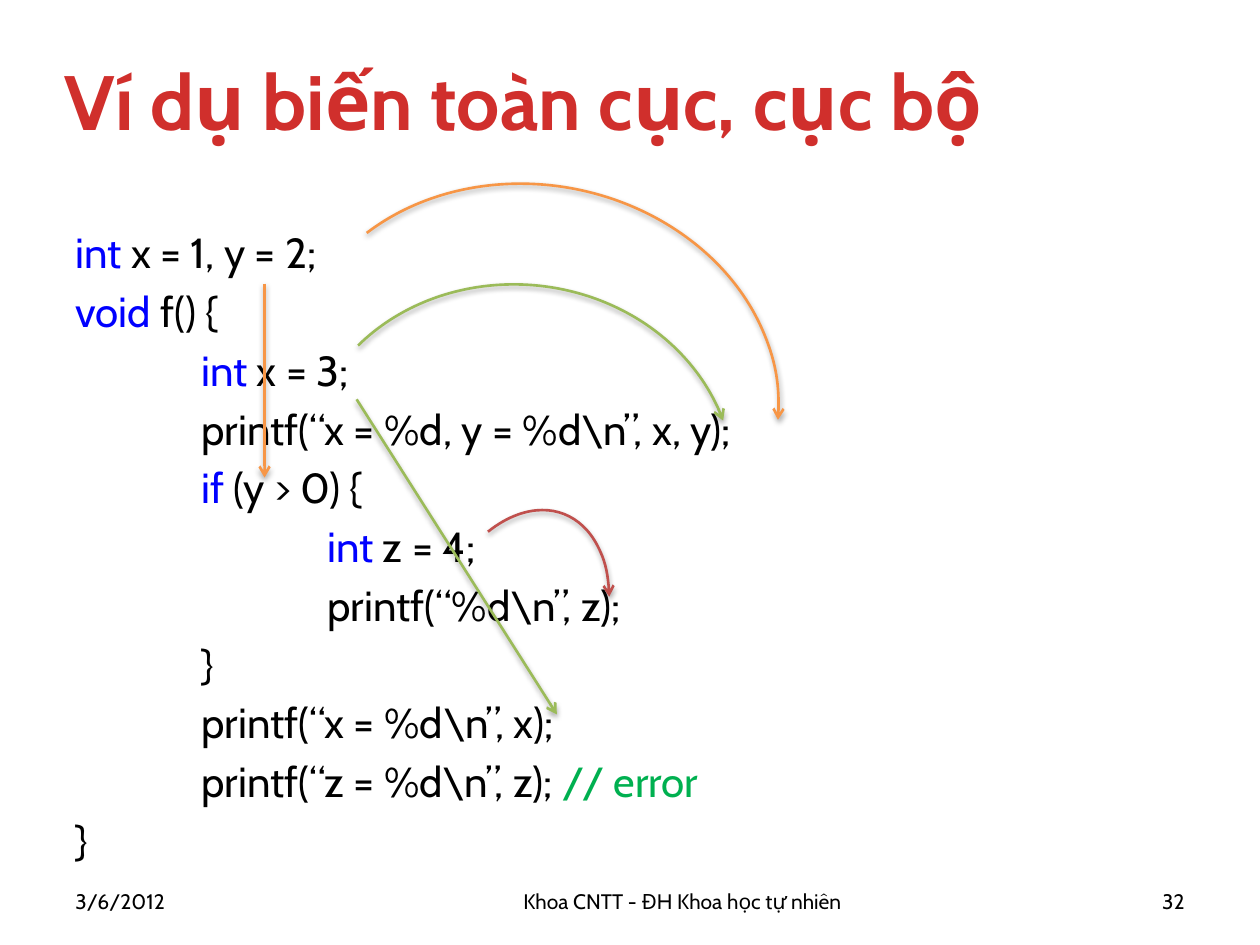
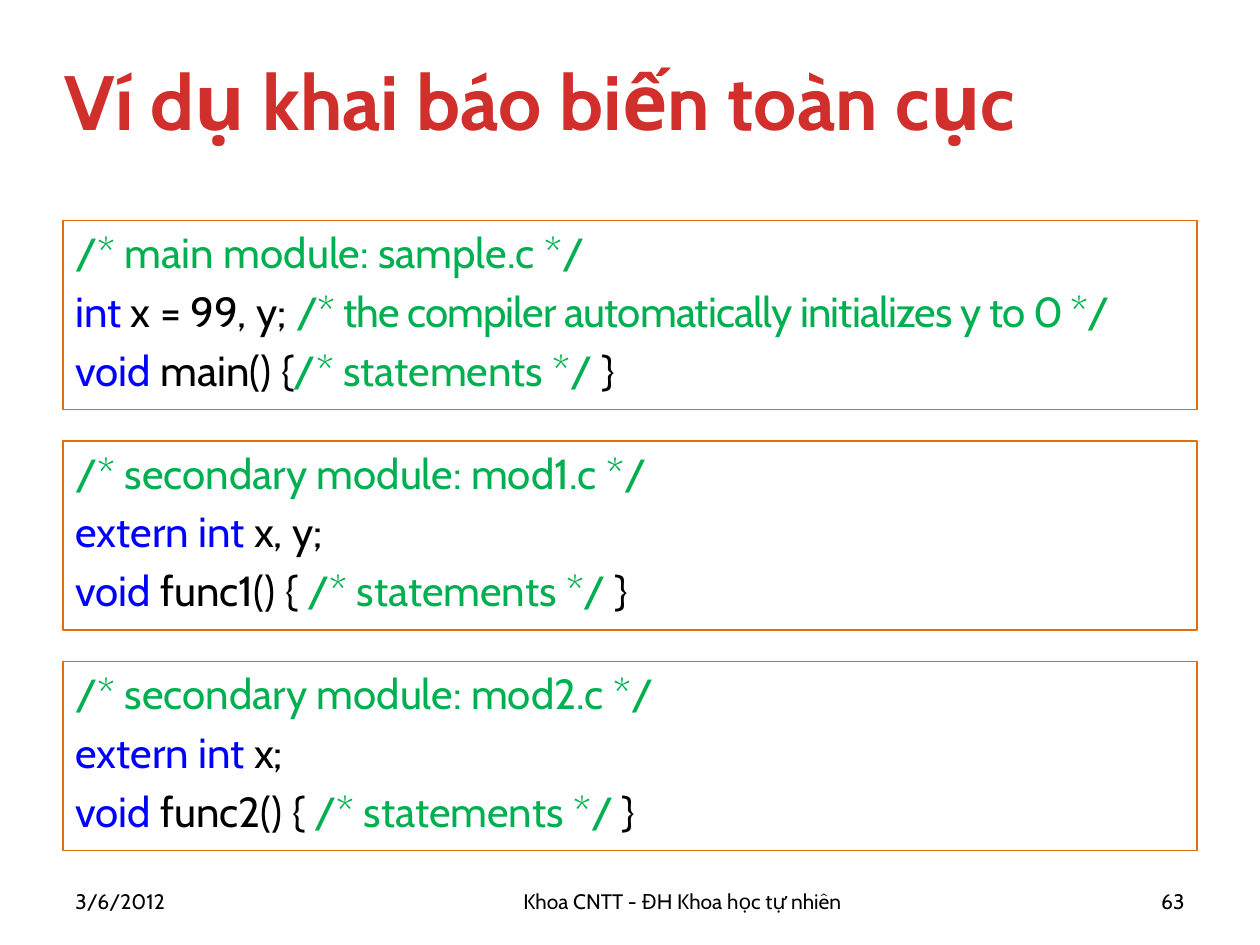
from lxml import etree
from pptx import Presentation
from pptx import util as u
from pptx.dml.color import RGBColor
from pptx.enum import shapes, text
from pptx.oxml.ns import qn

FONT = "Cabin"
RED, BLACK, BLUE, GREEN = "D02F2C", "000000", "0000FF", "00B050"
PANEL_EDGE = "E46C0A"
GLOBAL_SCOPE, FUNCTION_SCOPE, BLOCK_SCOPE = "F79646", "9BBB59", "C0504D"
MARGIN, CONTENT_TOP, CONTENT_WIDTH = 36, 126, 648
PANEL_HEIGHT, PANEL_GAP = 108, 18
TAB = 72
LEFT, CENTER, RIGHT = text.PP_ALIGN.LEFT, text.PP_ALIGN.CENTER, text.PP_ALIGN.RIGHT

SCOPE_CODE = [
    (0, [("int ", BLUE), ("x = 1, y = 2;", BLACK)]),
    (0, [("void", BLUE), (" f() {", BLACK)]),
    (1, [("int", BLUE), (" x = 3;", BLACK)]),
    (1, [("printf(“x = %d, y = %d\\n”, x, y);", BLACK)]),
    (1, [("if", BLUE), (" (y > 0) {", BLACK)]),
    (2, [("int", BLUE), (" z = 4;", BLACK)]),
    (2, [("printf(“%d\\n”, z);", BLACK)]),
    (1, [("}", BLACK)]),
    (1, [("printf(“x = %d\\n”, x);", BLACK)]),
    (1, [("printf(“z = %d\\n”, z); ", BLACK), ("// error", GREEN)]),
    (0, [("}", BLACK)]),
]


def module_code(heading, declaration, opening):
    return [
        (0, [(f"/* {heading} */", GREEN)]),
        (0, declaration),
        (0, [("void", BLUE), (opening, BLACK), ("/* statements */", GREEN), (" }", BLACK)]),
    ]


MODULES = [
    module_code("main module: sample.c",
                [("int", BLUE), (" x = 99, y; ", BLACK),
                 ("/* the compiler automatically initializes y to 0 */", GREEN, -0.5)],
                " main() {"),
    module_code("secondary module: mod1.c",
                [("extern int ", BLUE), ("x, y;", BLACK)], " func1() { "),
    module_code("secondary module: mod2.c",
                [("extern int ", BLUE), ("x;", BLACK)], " func2() { "),
]


def colour(hex_code):
    return RGBColor.from_string(hex_code)


def box(slide, left, top, width, height):
    return slide.shapes.add_textbox(u.Pt(left), u.Pt(top), u.Pt(width), u.Pt(height))


def write(shape, lines, size=24, bold=False, align=LEFT,
          anchor=text.MSO_ANCHOR.TOP, space_before=0):
    frame = shape.text_frame
    frame.word_wrap = True
    frame.vertical_anchor = anchor
    for number, (depth, pieces) in enumerate(lines):
        paragraph = frame.add_paragraph() if number else frame.paragraphs[0]
        paragraph.alignment = align
        paragraph.space_before = u.Pt(space_before)
        if depth:
            paragraph._p.get_or_add_pPr().set("marL", str(int(u.Pt(depth * TAB))))
        for words, ink, *tracking in pieces:
            run = paragraph.add_run()
            run.text = words
            run.font.name, run.font.size, run.font.bold = FONT, u.Pt(size), bold
            run.font.color.rgb = colour(ink)
            if tracking:
                run.font._element.set("spc", str(int(tracking[0] * 100)))


def write_code(shape, lines):
    write(shape, lines, space_before=4.8)


def new_slide(deck, title, number):
    slide = deck.slides.add_slide(deck.slide_layouts[6])
    write(box(slide, 30, 12, 678, 90), [(0, [(title, RED)])], size=44, bold=True,
          anchor=text.MSO_ANCHOR.MIDDLE)
    footer = [(36, 78, "3/6/2012", LEFT),
              (150, 480, "Khoa CNTT - ĐH Khoa học tự nhiên", CENTER),
              (642, 42, number, RIGHT)]
    for left, width, words, align in footer:
        write(box(slide, left, 500.5, width, 28.75), [(0, [(words, BLACK)])], size=12,
              align=align, anchor=text.MSO_ANCHOR.MIDDLE)
    return slide


def style_arrow(arrow, ink):
    arrow.line.color.rgb = colour(ink)
    arrow.line.width = u.Pt(1.5)
    outline = arrow.line._get_or_add_ln()
    etree.SubElement(outline, qn("a:tailEnd"), type="arrow")
    effects = etree.SubElement(arrow._element.spPr, qn("a:effectLst"))
    shadow = etree.SubElement(effects, qn("a:outerShdw"), blurRad="40000", dist="23000",
                              dir="5400000", rotWithShape="0")
    shade = etree.SubElement(shadow, qn("a:srgbClr"), val=BLACK)
    etree.SubElement(shade, qn("a:alpha"), val="35000")


def straight_arrow(slide, start, end, ink):
    arrow = slide.shapes.add_connector(shapes.MSO_CONNECTOR.STRAIGHT,
                                       *(u.Pt(length) for length in start + end))
    style_arrow(arrow, ink)


def curved_arrow(slide, frame, rotation, sweep, ink):
    arrow = slide.shapes.add_shape(shapes.MSO_SHAPE.ARC, *(u.Pt(length) for length in frame))
    arrow.rotation = rotation
    for index, degrees in enumerate(sweep):
        arrow.adjustments[index] = degrees * 0.6
    arrow.fill.background()
    style_arrow(arrow, ink)


def code_panel(slide, top, lines):
    panel = slide.shapes.add_shape(shapes.MSO_SHAPE.RECTANGLE, u.Pt(MARGIN), u.Pt(top),
                                   u.Pt(CONTENT_WIDTH), u.Pt(PANEL_HEIGHT))
    panel.shadow.inherit = False
    panel.fill.background()
    panel.line.color.rgb = colour(PANEL_EDGE)
    panel.line.width = u.Pt(0.75)
    write_code(panel, lines)


def scope_slide(deck):
    slide = new_slide(deck, "Ví dụ biến toàn cục, cục bộ", "32")
    write_code(box(slide, MARGIN, CONTENT_TOP, CONTENT_WIDTH, 356.5), SCOPE_CODE)
    straight_arrow(slide, (151.2, 162), (151.2, 272.9), GLOBAL_SCOPE)
    curved_arrow(slide, (165.6, 105.8, 280, 237.6), 10.6, (213, 355.7), GLOBAL_SCOPE)
    curved_arrow(slide, (173.5, 162.7, 246.2, 219.6), 6.2, (213, 338.4), FUNCTION_SCOPE)
    curved_arrow(slide, (247, 288.7, 97.2, 146.2), 21.5, (232.4, 316.9), BLOCK_SCOPE)
    straight_arrow(slide, (203.8, 228.2), (318.2, 408.2), FUNCTION_SCOPE)


def module_slide(deck):
    slide = new_slide(deck, "Ví dụ khai báo biến toàn cục", "63")
    for row, lines in enumerate(MODULES):
        code_panel(slide, CONTENT_TOP + row * (PANEL_HEIGHT + PANEL_GAP), lines)


def main():
    deck = Presentation()
    deck.slide_width, deck.slide_height = u.Pt(720), u.Pt(540)
    scope_slide(deck)
    module_slide(deck)
    deck.save("out.pptx")


if __name__ == "__main__":
    main()
